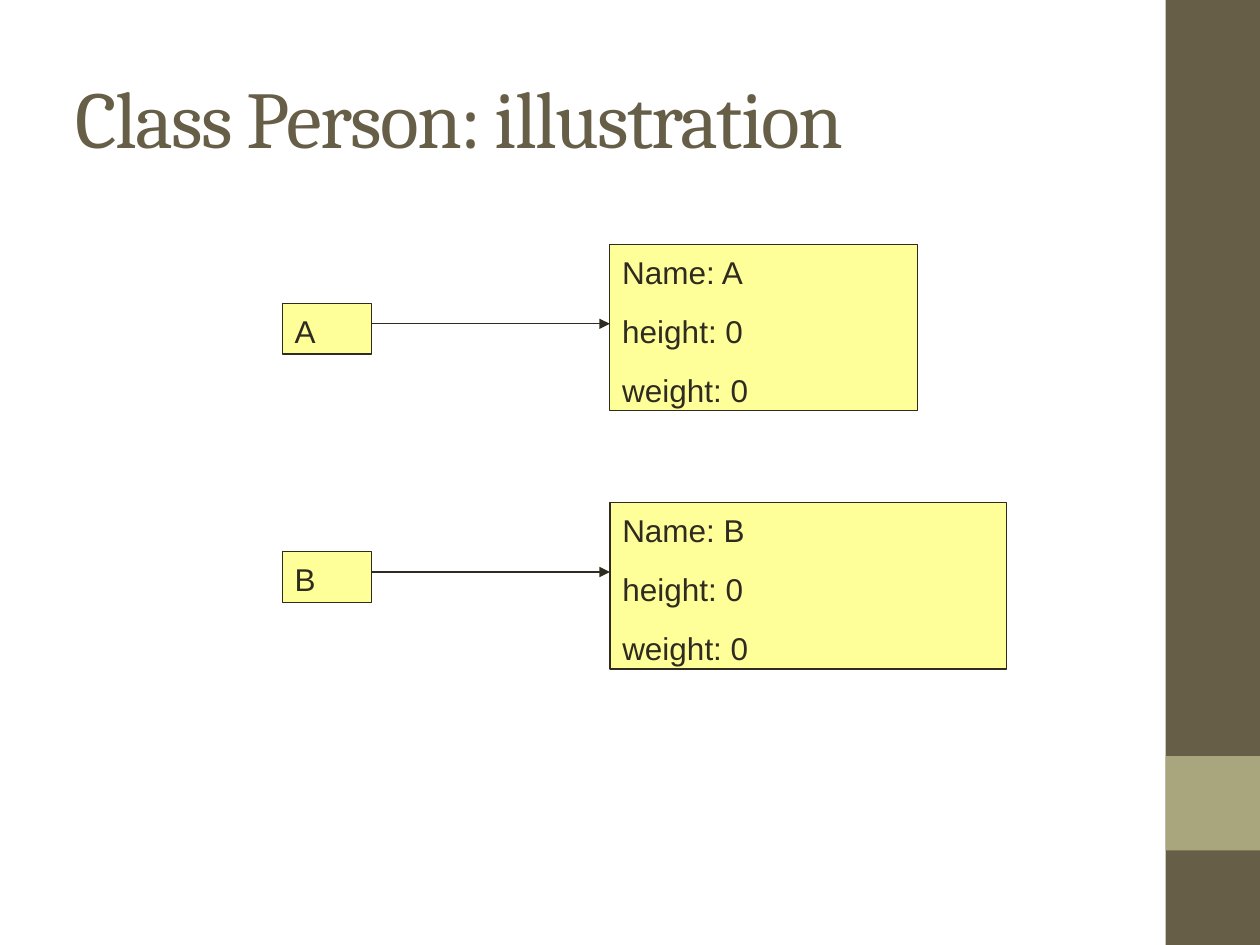
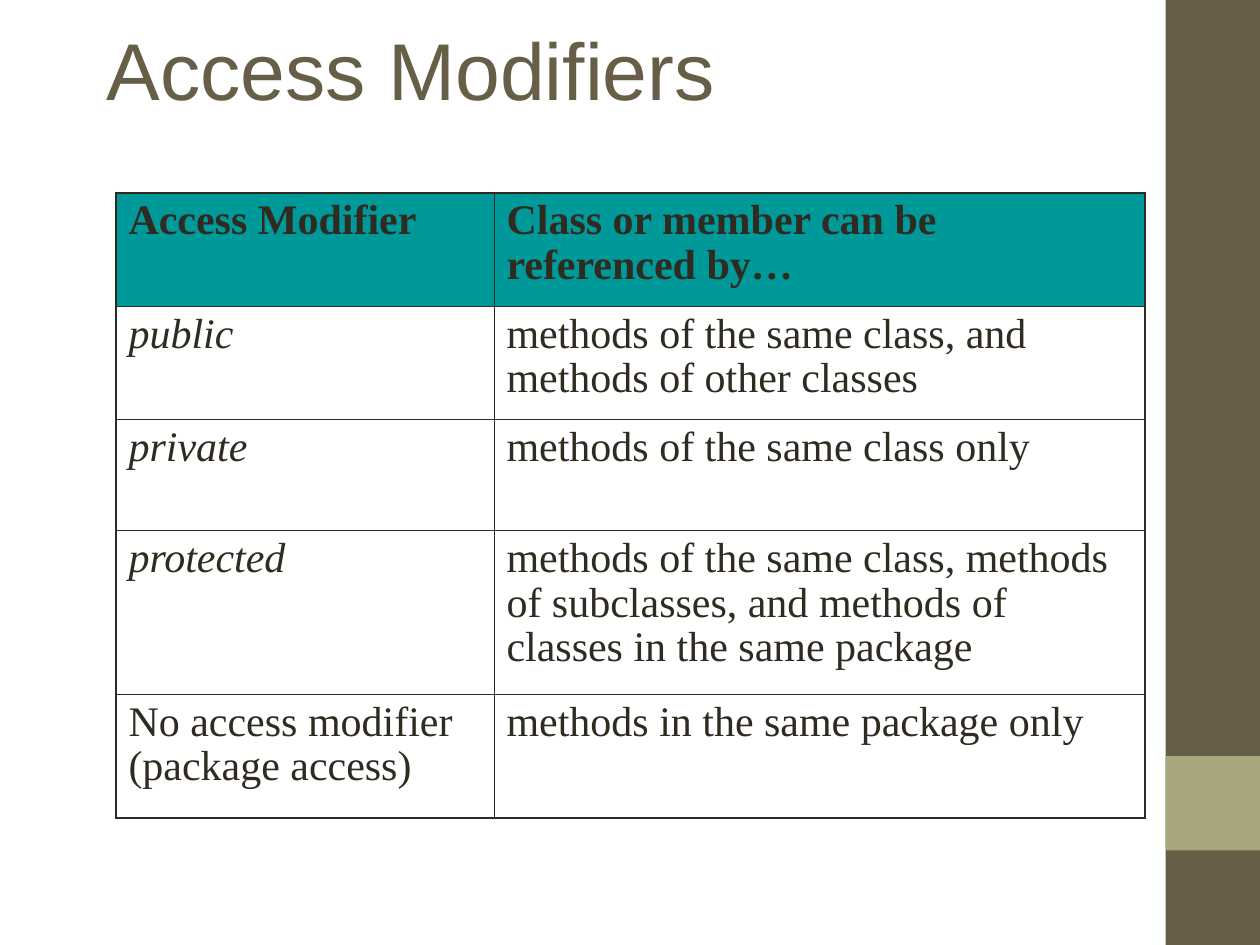
from lxml import etree
from pptx import Presentation
from pptx.dml.color import RGBColor
from pptx.enum.shapes import MSO_CONNECTOR, MSO_SHAPE
from pptx.enum.text import MSO_ANCHOR, MSO_AUTO_SIZE, PP_ALIGN
from pptx.oxml.ns import qn
from pptx.util import Inches, Pt

BROWN = RGBColor(0x67, 0x5E, 0x47)
OLIVE = RGBColor(0xA9, 0xA5, 0x7C)
INK = RGBColor(0x2F, 0x2B, 0x20)
YELLOW = RGBColor(0xFF, 0xFF, 0x99)
TEAL = RGBColor(0x00, 0x99, 0x99)

# Content; lengths in inches
PERSONS = [  # name, fields, top of object, top of reference, object width
    ("A", ["Name: A", "height: 0", "weight: 0"], 1.94, 2.41, 2.44),
    ("B", ["Name: B", "height: 0", "weight: 0"], 3.99, 4.38, 3.15),
]
MODIFIERS = [  # access modifier, referenced by, row height
    ("Access Modifier", "Class or member can be referenced by…", 0.9),
    ("public", "methods of the same class, and methods of other classes", 0.9),
    ("private", "methods of the same class only", 0.88),
    ("protected", "methods of the same class, methods of subclasses, "
                  "and methods of classes in the same package", 1.3),
    ("No access modifier (package access)", "methods in the same package only", 0.98),
]
KEYWORDS = {"public", "private", "protected"}

WIDTH, HEIGHT, BAND = 10, 7.5, 0.75
REFERENCE_LEFT, REFERENCE_WIDTH, REFERENCE_HEIGHT = 2.24, 0.71, 0.4
OBJECT_LEFT, OBJECT_HEIGHT, ARROW_DROP = 4.84, 1.32, 0.16
TABLE_LEFT, TABLE_TOP, COLUMNS = 0.92, 1.53, (3, 5.17)
OUTER, INNER = 1.08, 0.45

TITLE_FONT = {"size": Pt(46)}
BOX_FONT = {"name": "Arial", "size": Pt(18)}
CELL_FONT = {"name": "Times New Roman", "size": Pt(24)}
BOX_SPACING = {"space_before": Pt(11.2), "line_spacing": 1.05}
CELL_SPACING = {"space_before": Pt(6), "line_spacing": 0.96}


def apply(target, values):
    for key, value in values.items():
        setattr(target, key, value)


def write(frame, lines, font, color, spacing=None):
    frame.word_wrap = True
    for index, line in enumerate(lines):
        paragraph = frame.add_paragraph() if index else frame.paragraphs[0]
        apply(paragraph, {"alignment": PP_ALIGN.LEFT, **(spacing or {})})
        run = paragraph.add_run()
        run.text = line
        apply(run.font, font)
        run.font.color.rgb = color


def add_box(slide, left, top, width, height, fill):
    box = slide.shapes.add_shape(
        MSO_SHAPE.RECTANGLE, *map(Inches, (left, top, width, height)))
    box.shadow.inherit = False
    box.fill.solid()
    box.fill.fore_color.rgb = fill
    box.line.fill.background()
    return box


def add_slide(deck, title, place, font_name, tracking=0):
    """Blank slide with the side band and a title; tracking is in 1/100 pt."""
    slide = deck.slides.add_slide(deck.slide_layouts[6])
    add_box(slide, WIDTH - BAND, 0, BAND, HEIGHT, BROWN)
    add_box(slide, WIDTH - BAND, HEIGHT - 2 * BAND, BAND, BAND, OLIVE)
    frame = slide.shapes.add_textbox(*map(Inches, place)).text_frame
    frame.vertical_anchor = MSO_ANCHOR.MIDDLE
    write(frame, [title], {**TITLE_FONT, "name": font_name}, BROWN)
    if tracking:
        frame.paragraphs[0].runs[0].font._element.set("spc", str(tracking))
    return slide


def add_memory_box(slide, lines, left, top, width, height):
    box = add_box(slide, left, top, width, height, YELLOW)
    box.line.color.rgb = INK
    box.line.width = Pt(0.75)
    apply(box.text_frame, {"vertical_anchor": MSO_ANCHOR.TOP,
                           "auto_size": MSO_AUTO_SIZE.SHAPE_TO_FIT_TEXT})
    write(box.text_frame, lines, BOX_FONT, INK, BOX_SPACING)


def add_arrow(slide, start, end, y):
    arrow = slide.shapes.add_connector(
        MSO_CONNECTOR.STRAIGHT, *map(Inches, (start, y, end, y)))
    arrow.line.color.rgb = INK
    arrow.line.width = Pt(0.75)
    etree.SubElement(arrow.line._get_or_add_ln(), qn("a:tailEnd"), type="triangle")
    etree.SubElement(arrow._element.spPr, qn("a:effectLst"))


def set_borders(cell, widths):
    """Draw the cell's edges; widths maps L, R, T and B to points."""
    properties = cell._tc.get_or_add_tcPr()
    for index, (side, width) in enumerate(widths.items()):
        edge = etree.Element(qn(f"a:ln{side}"), w=str(Pt(width)))
        fill = etree.SubElement(edge, qn("a:solidFill"))
        etree.SubElement(fill, qn("a:srgbClr"), val=str(INK))
        properties.insert(index, edge)


def add_person_slide(deck):
    slide = add_slide(deck, "Class Person: illustration",
                      (0.5, 0.3, 8.33, 1.25), "Cambria", -100)
    for name, fields, object_top, reference_top, object_width in PERSONS:
        add_memory_box(slide, fields, OBJECT_LEFT, object_top,
                       object_width, OBJECT_HEIGHT)
        add_memory_box(slide, [name], REFERENCE_LEFT, reference_top,
                       REFERENCE_WIDTH, REFERENCE_HEIGHT)
        add_arrow(slide, REFERENCE_LEFT + REFERENCE_WIDTH, OBJECT_LEFT,
                  reference_top + ARROW_DROP)


def add_modifier_slide(deck):
    slide = add_slide(deck, "Access Modifiers", (0.75, 0.17, 8.5, 0.75), "Arial")
    heights = [row[-1] for row in MODIFIERS]
    place = (TABLE_LEFT, TABLE_TOP, sum(COLUMNS), sum(heights))
    table = slide.shapes.add_table(
        len(MODIFIERS), len(COLUMNS), *map(Inches, place)).table
    apply(table, {"first_row": False, "horz_banding": False})
    for column, width in zip(table.columns, COLUMNS):
        column.width = Inches(width)
    last_row, last_column = len(MODIFIERS) - 1, len(COLUMNS) - 1
    for r, (*texts, height) in enumerate(MODIFIERS):
        table.rows[r].height = Inches(height)
        for c, text in enumerate(texts):
            cell = table.cell(r, c)
            if r == 0:
                cell.fill.solid()
                cell.fill.fore_color.rgb = TEAL
            else:
                cell.fill.background()
            style = {"bold": r == 0, "italic": text in KEYWORDS}
            write(cell.text_frame, [text], {**CELL_FONT, **style}, INK, CELL_SPACING)
            set_borders(cell, {
                "L": OUTER if c == 0 else INNER,
                "R": OUTER if c == last_column else INNER,
                "T": OUTER if r == 0 else INNER,
                "B": OUTER if r == last_row else INNER,
            })


def main():
    deck = Presentation()
    apply(deck, {"slide_width": Inches(WIDTH), "slide_height": Inches(HEIGHT)})
    add_person_slide(deck)
    add_modifier_slide(deck)
    deck.save("out.pptx")


if __name__ == "__main__":
    main()
